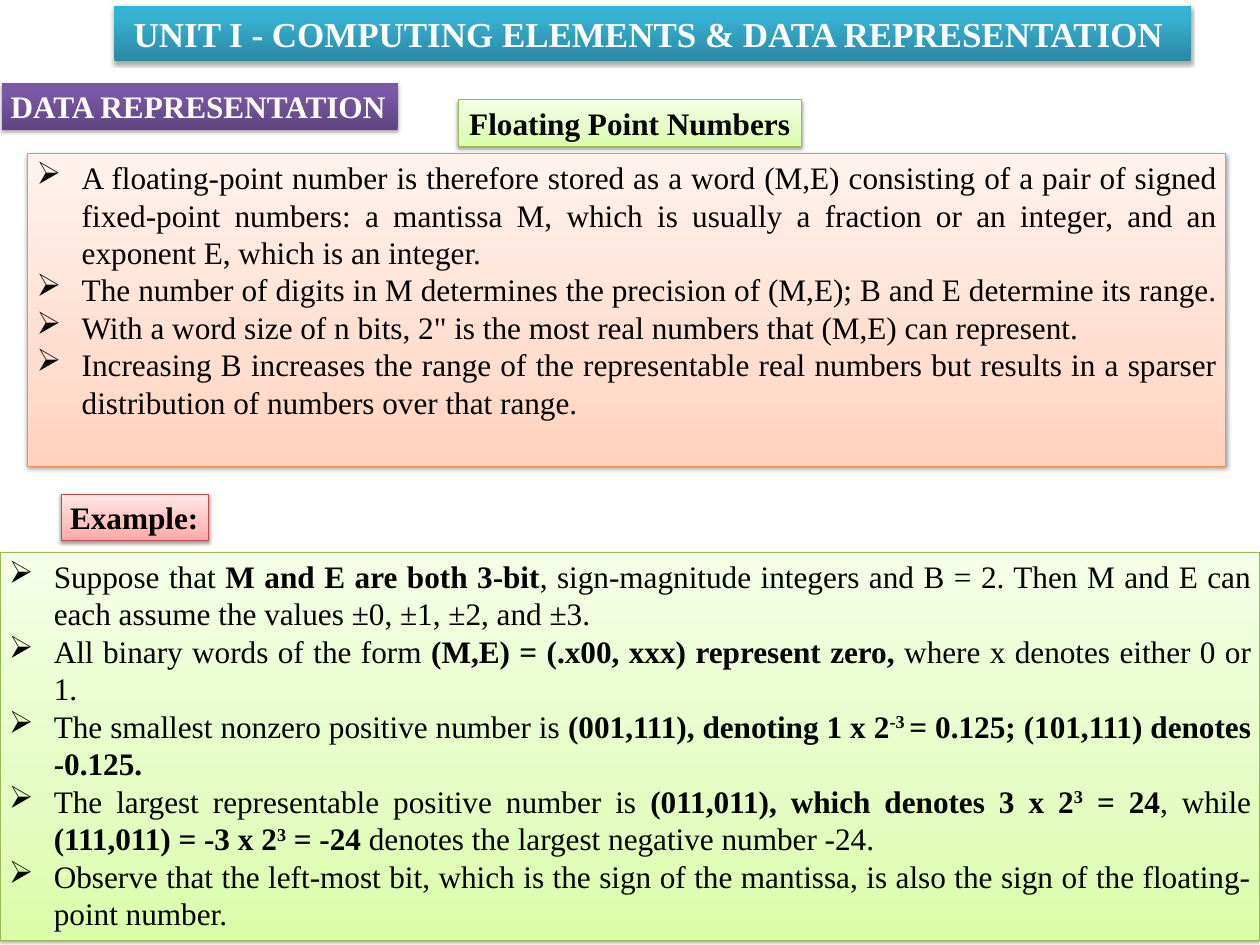
from lxml import etree
from pptx import Presentation
from pptx.dml.color import RGBColor
from pptx.enum.shapes import MSO_SHAPE
from pptx.enum.text import MSO_ANCHOR, MSO_AUTO_SIZE, PP_ALIGN
from pptx.oxml.ns import qn
from pptx.util import Emu, Inches, Pt

RECT = MSO_SHAPE.RECTANGLE
LEFT, CENTER, JUSTIFY = PP_ALIGN.LEFT, PP_ALIGN.CENTER, PP_ALIGN.JUSTIFY
FONT = "Times New Roman"
W, H = 14, 10.5
HANG = 0.5
COLORS = {"white": "FFFFFF", "black": "000000", "green line": "98B955",
          "orange line": "F69240", "red line": "BF4C48"}
# Gradient stops from bottom to top: position in percent, colour
GRADIENTS = {
    "teal": [(0, "2A88A2"), (80, "37B1D2"), (100, "34B4D6")],
    "purple": [(0, "5F4480"), (80, "7B58A6"), (100, "7C57A8")],
    "green": [(0, "DAFDA7"), (35, "E4FCC2"), (100, "F5FFE7")],
    "orange": [(0, "FFD2BD"), (35, "FFDED0"), (100, "FFF2ED")],
    "red": [(0, "FFA6A5"), (35, "FFC0BF"), (100, "FFE7E7")],
}

# Content: a paragraph is a list of (text, style); styles: "" plain, "b" bold, "b^" bold superscript
TITLE = [[("UNIT I - COMPUTING ELEMENTS & DATA REPRESENTATION ", "b")]]
SECTION = [[("DATA REPRESENTATION", "b")]]
TOPIC = [[("Floating Point Numbers", "b")]]
EXAMPLE = [[("Example:", "b")]]
FACTS = [
    [("A floating-point number is therefore stored as a word (M,E) consisting of a pair of signed "
      "fixed-point numbers: a mantissa M, which is usually a fraction or an integer, and an "
      "exponent E, which is an integer.", "")],
    [("The number of digits in M determines the precision of (M,E); B and E determine its range. ", "")],
    [('With a word size of n bits, 2" is the most real numbers that (M,E) can represent.', "")],
    [("Increasing B increases the range of the representable real numbers but results in a sparser "
      "distribution of numbers over that range.", "")],
]
STEPS = [
    [("Suppose that ", ""), ("M and E are both 3-bit", "b"),
     (", sign-magnitude integers and B = 2. Then M and E can each assume the values "
      "±0, ±1, ±2, and ±3. ", "")],
    [("All binary words of the form ", ""), ("(M,E) = (.x00, xxx) represent zero,", "b"),
     (" where x denotes either 0 or 1. ", "")],
    [("The smallest nonzero positive number is ", ""), ("(001,111), denoting 1 x 2", "b"),
     ("-3 ", "b^"), ("= 0.125; (101,111) denotes -0.125. ", "b")],
    [("The largest representable positive number is ", ""), ("(011,011), which denotes 3 x 2", "b"),
     ("3", "b^"), (" = 24", "b"), (", while ", ""), ("(111,011) = -3 x 2", "b"), ("3", "b^"),
     (" = -24 ", "b"), ("denotes the largest negative number -24. ", "")],
    [("Observe that the left-most bit, which is the sign of the mantissa, is also the sign of the "
      "floating-point number.", "")],
]

# Panels: left, top, width, height, gradient, line, paragraphs, text format
PANELS = [
    (1.27, 0.07, 11.96, 0.61, "teal", None, TITLE,
     dict(size=28, color="white", align=CENTER, inset=(0.14, 0.07))),
    (0.02, 0.92, 4.4, 0.52, "purple", None, SECTION, dict(color="white", hang=HANG)),
    (5.09, 1.11, 3.81, 0.52, "green", "green line", TOPIC, dict(align=CENTER)),
    (0.31, 1.71, 13.31, 3.47, "orange", "orange line", FACTS,
     dict(align=JUSTIFY, hang=HANG, bullet="➢", wrap=True)),
    (0.68, 5.49, 1.64, 0.52, "red", "red line", EXAMPLE, dict(align=JUSTIFY, hang=HANG)),
    (0, 6.14, W, 4.31, "green", "green line", STEPS,
     dict(align=JUSTIFY, hang=HANG, bullet="➢", wrap=True)),
]


def add_color(parent, color, alpha=None):
    node = etree.SubElement(parent, qn("a:srgbClr"), val=color)
    if alpha:
        etree.SubElement(node, qn("a:alpha"), val=str(alpha * 1000))


def add_text(sp, paragraphs, size=25, color="black", align=LEFT, inset=(0.1, 0.05),
             hang=0, bullet=None, wrap=False):
    tf = sp.text_frame
    tf.word_wrap = wrap
    tf.auto_size = MSO_AUTO_SIZE.NONE if wrap else MSO_AUTO_SIZE.SHAPE_TO_FIT_TEXT
    tf.vertical_anchor = MSO_ANCHOR.TOP
    tf.margin_left = tf.margin_right = Inches(inset[0])
    tf.margin_top = tf.margin_bottom = Inches(inset[1])
    for i, runs in enumerate(paragraphs):
        p = tf.add_paragraph() if i else tf.paragraphs[0]
        p.alignment = align
        pPr = p._p.get_or_add_pPr()
        if hang:
            pPr.set("marL", str(Inches(hang)))
            pPr.set("indent", str(-Inches(hang)))
        if bullet:
            etree.SubElement(pPr, qn("a:buChar"), char=bullet)
        for text, style in runs:
            r = p.add_run()
            r.text = text
            r.font.name, r.font.size = FONT, Pt(size)
            r.font.bold = "b" in style
            r.font.color.rgb = RGBColor.from_string(COLORS[color])
            if "^" in style:
                r._r.get_or_add_rPr().set("baseline", "30000")


def add_panel(slide, left, top, width, height, gradient, line):
    sp = slide.shapes.add_shape(RECT, *(Inches(v) for v in (left, top, width, height)))
    # Vertical gradient
    sp.fill.gradient()
    sp.fill.gradient_angle = 90
    stops = sp._element.spPr.find(".//" + qn("a:gsLst"))
    for stop in list(stops):
        stops.remove(stop)
    for pos, color in GRADIENTS[gradient]:
        add_color(etree.SubElement(stops, qn("a:gs"), pos=str(pos * 1000)), color)
    # Outline
    if line:
        sp.line.color.rgb = RGBColor.from_string(COLORS[line])
        sp.line.width = Pt(0.75)
    else:
        sp.line.fill.background()
    # Soft shadow below; panels without an outline have a slightly longer one
    sp.shadow.inherit = False
    distance, alpha = (1.6, 38) if line else (1.8, 35)
    shadow = etree.SubElement(sp._element.spPr.find(qn("a:effectLst")), qn("a:outerShdw"),
                              blurRad=str(Pt(3.1)), dist=str(Pt(distance)),
                              dir="5400000", rotWithShape="0")
    add_color(shadow, COLORS["black"], alpha)
    return sp


prs = Presentation()
prs.slide_width, prs.slide_height = Inches(W), Inches(H)
slide = prs.slides.add_slide(prs.slide_layouts[6])
for *frame, paragraphs, fmt in PANELS:
    add_text(add_panel(slide, *frame), paragraphs, **fmt)
prs.save("out.pptx")
